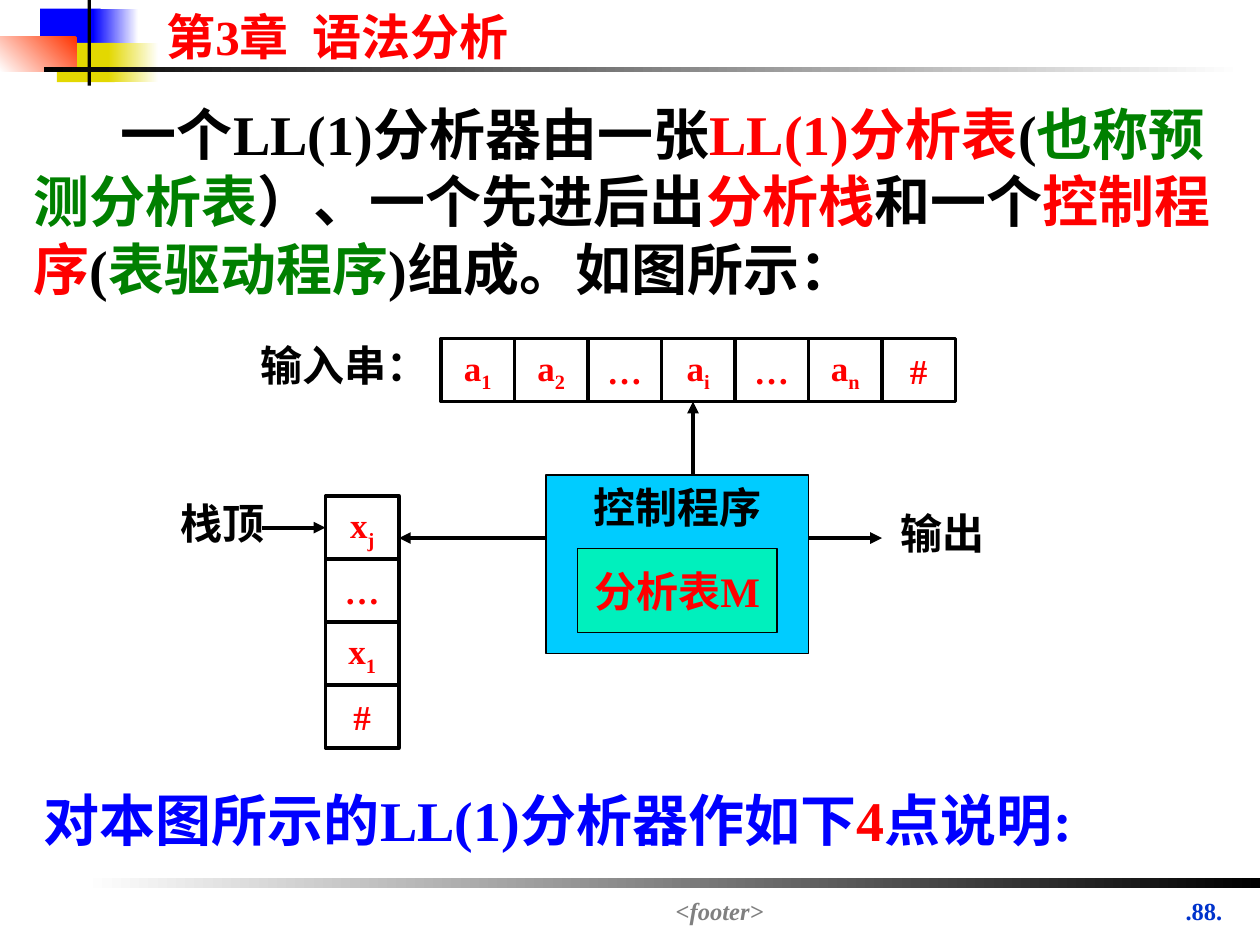
"""Build the slide that shows the structure of an LL(1) parser."""
from dataclasses import dataclass
from typing import NamedTuple, Optional

from lxml.etree import SubElement
from pptx import Presentation
from pptx.dml.color import RGBColor
from pptx.enum.shapes import MSO_CONNECTOR, MSO_SHAPE
from pptx.enum.text import MSO_ANCHOR, MSO_AUTO_SIZE, PP_ALIGN
from pptx.oxml.ns import qn
from pptx.util import Pt


@dataclass(frozen=True)
class Theme:
    font: str = "Times New Roman"
    black: str = "000000"
    white: str = "FFFFFF"
    red: str = "FF0000"
    green: str = "008000"
    blue: str = "0000FF"
    yellow: str = "E3D801"
    orange: str = "FF3300"
    grey: str = "808080"
    number: str = "0033CC"
    control: str = "00CCFF"
    table: str = "00F0BD"
    body_size: int = 32
    title_size: int = 28
    label_size: int = 24
    cell_size: int = 20
    footer_size: int = 14
    cell_line: float = 2
    box_line: float = 0.75
    arrow_line: float = 2.25


THEME = Theme()


class Frame(NamedTuple):
    left: float
    top: float
    width: float
    height: float


class Span(NamedTuple):
    text: str
    color: str = THEME.black
    subscript: bool = False
    spacing: float = 0


class Bar(NamedTuple):
    frame: Frame
    color: str
    end_color: Optional[str] = None
    angle: float = 180


class Label(NamedTuple):
    frame: Frame
    spans: list
    size: int = THEME.label_size
    align: PP_ALIGN = PP_ALIGN.LEFT
    wrap: bool = False
    italic: bool = False
    indent: float = 0


class Arrow(NamedTuple):
    start: tuple
    end: tuple


BARS = [
    Bar(Frame(23, 5, 34.5, 22.5), THEME.blue),
    Bar(Frame(53, 5, 26, 22.5), THEME.white, THEME.blue),
    Bar(Frame(32.5, 24.5, 33, 22.5), THEME.yellow),
    Bar(Frame(62, 24.5, 28.5, 22.5), THEME.white, THEME.yellow),
    Bar(Frame(0, 21, 44, 20), THEME.orange, THEME.white, 225),
    Bar(Frame(50, 0, 2, 49), THEME.black),
    Bar(Frame(25, 38.5, 685, 2.5), THEME.white, THEME.black),
    Bar(Frame(48, 502, 672, 5.5), THEME.black, THEME.white),
]
TITLE = Label(Frame(88, 0, 232, 41), [
    Span("第3章", THEME.red), Span(" ", THEME.red, spacing=7), Span("语法分析", THEME.red),
], THEME.title_size, wrap=True)
LABELS = [
    Label(Frame(658, 508.5, 60, 29), [Span(".88.", THEME.number)],
          THEME.footer_size, PP_ALIGN.CENTER, True),
    Label(Frame(144.5, 508.5, 533.5, 19), [Span("<footer>", THEME.grey)],
          THEME.footer_size, PP_ALIGN.CENTER, True, True),
    Label(Frame(12, 53.5, 691.5, 122.5), [
        Span("一个LL(1)分析器由一张"), Span("LL(1)分析表", THEME.red), Span("("),
        Span("也称预测分析表", THEME.green), Span("）、一个先进后出"),
        Span("分析栈", THEME.red), Span("和一个"), Span("控制程序", THEME.red),
        Span("("), Span("表驱动程序", THEME.green), Span(")组成。如图所示："),
    ], THEME.body_size, wrap=True, indent=50),
    Label(Frame(507.5, 286.5, 62, 36), [Span("输出")]),
    Label(Frame(96, 280.5, 62, 36), [Span("栈顶")]),
    Label(Frame(142, 190.5, 110, 36), [Span("输入串：")]),
    Label(Frame(18, 445.5, 648, 46), [
        Span("对本图所示的LL(1)分析器作如下", THEME.blue),
        Span("4", THEME.red), Span("点说明:", THEME.blue),
    ], THEME.body_size, wrap=True),
]
CELL_WIDTH, CELL_HEIGHT = 42, 36
INPUT_CELLS = ["a1", "a2", "…", "ai", "…", "an", "#"]
STACK_CELLS = ["xj", "…", "x1", "#"]
ARROWS = [
    Arrow((312, 307.5), (228, 307.5)),
    Arrow((396, 271.5), (396, 229.5)),
    Arrow((462, 307.5), (504, 307.5)),
]


def place(frame: Frame) -> list:
    """Turn a frame into lengths in points."""
    return [Pt(value) for value in frame]


def write(box, label: Label) -> None:
    """Fill a box with one formatted paragraph."""
    text_frame = box.text_frame
    text_frame.auto_size = MSO_AUTO_SIZE.NONE
    text_frame.word_wrap = label.wrap
    para = text_frame.paragraphs[0]
    para.alignment = label.align
    if label.indent:
        para._p.get_or_add_pPr().set("indent", str(Pt(label.indent)))
    for span in label.spans:
        run = para.add_run()
        run.text = span.text
        run.font.name = THEME.font
        run.font.size = Pt(label.size)
        run.font.bold = True
        run.font.italic = label.italic
        run.font.color.rgb = RGBColor.from_string(span.color)
        if span.subscript:
            run._r.get_or_add_rPr().set("baseline", "-25000")
        if span.spacing:
            run._r.get_or_add_rPr().set("spc", str(int(span.spacing * 100)))


def add_box(page, frame: Frame, fill: Optional[str] = None, line: float = 0):
    """Add a rectangle with an optional fill and outline."""
    box = page.shapes.add_shape(MSO_SHAPE.RECTANGLE, *place(frame))
    box.shadow.inherit = False
    if fill:
        box.fill.solid()
        box.fill.fore_color.rgb = RGBColor.from_string(fill)
    else:
        box.fill.background()
    if line:
        box.line.color.rgb = RGBColor.from_string(THEME.black)
        box.line.width = Pt(line)
    else:
        box.line.fill.background()
    return box


def add_bar(page, bar: Bar) -> None:
    """Add a decorative bar, plain or with a gradient."""
    box = add_box(page, bar.frame, bar.color)
    if bar.end_color:
        box.fill.gradient()
        box.fill.gradient_angle = bar.angle
        for stop, color in zip(box.fill.gradient_stops, (bar.color, bar.end_color)):
            stop.color.rgb = RGBColor.from_string(color)


def add_text_box(page, frame: Frame, text: str, color: str, fill: str, anchor: MSO_ANCHOR) -> None:
    """Add a filled diagram box with centred text."""
    box = add_box(page, frame, fill, THEME.box_line)
    box.text_frame.vertical_anchor = anchor
    write(box, Label(frame, [Span(text, color)], align=PP_ALIGN.CENTER))


def add_cells(page, left: float, top: float, names: list, across: bool) -> list:
    """Add a row or column of cells, each with a symbol and its subscript."""
    cells = []
    for index, name in enumerate(names):
        frame = Frame(left + index * CELL_WIDTH * across,
                      top + index * CELL_HEIGHT * (not across), CELL_WIDTH, CELL_HEIGHT)
        spans = [Span(letter, THEME.red, place_in_name > 0)
                 for place_in_name, letter in enumerate(name)]
        box = add_box(page, frame, line=THEME.cell_line)
        box.text_frame.vertical_anchor = MSO_ANCHOR.MIDDLE
        write(box, Label(frame, spans, THEME.cell_size, PP_ALIGN.CENTER))
        cells.append(box)
    return cells


def add_arrow(page, arrow: Arrow):
    """Add a straight arrow."""
    connector = page.shapes.add_connector(
        MSO_CONNECTOR.STRAIGHT, *[Pt(value) for value in arrow.start + arrow.end])
    connector.line.color.rgb = RGBColor.from_string(THEME.black)
    connector.line.width = Pt(THEME.arrow_line)
    SubElement(connector.line._get_or_add_ln(), qn("a:tailEnd"), type="triangle")
    SubElement(connector._element.spPr, qn("a:effectLst"))
    return connector


def main() -> None:
    """Build and save the deck."""
    deck = Presentation()
    deck.slide_width, deck.slide_height = Pt(720), Pt(540)
    page = deck.slides.add_slide(deck.slide_layouts[5])
    for bar in BARS:
        add_bar(page, bar)
    title = page.shapes.title
    title.left, title.top, title.width, title.height = place(TITLE.frame)
    title.text_frame.vertical_anchor = MSO_ANCHOR.TOP
    write(title, TITLE)
    add_cells(page, 252, 193.5, INPUT_CELLS, True)
    stack = add_cells(page, 186, 283.5, STACK_CELLS, False)
    add_text_box(page, Frame(312, 271.5, 150, 102), "控制程序",
                 THEME.black, THEME.control, MSO_ANCHOR.TOP)
    add_text_box(page, Frame(330, 313.5, 114, 48), "分析表M",
                 THEME.red, THEME.table, MSO_ANCHOR.MIDDLE)
    for arrow in ARROWS:
        add_arrow(page, arrow)
    add_arrow(page, Arrow((150, 301.5), (186, 301.5))).end_connect(stack[0], 1)
    for label in LABELS:
        write(page.shapes.add_textbox(*place(label.frame)), label)
    deck.save("out.pptx")


if __name__ == "__main__":
    main()
